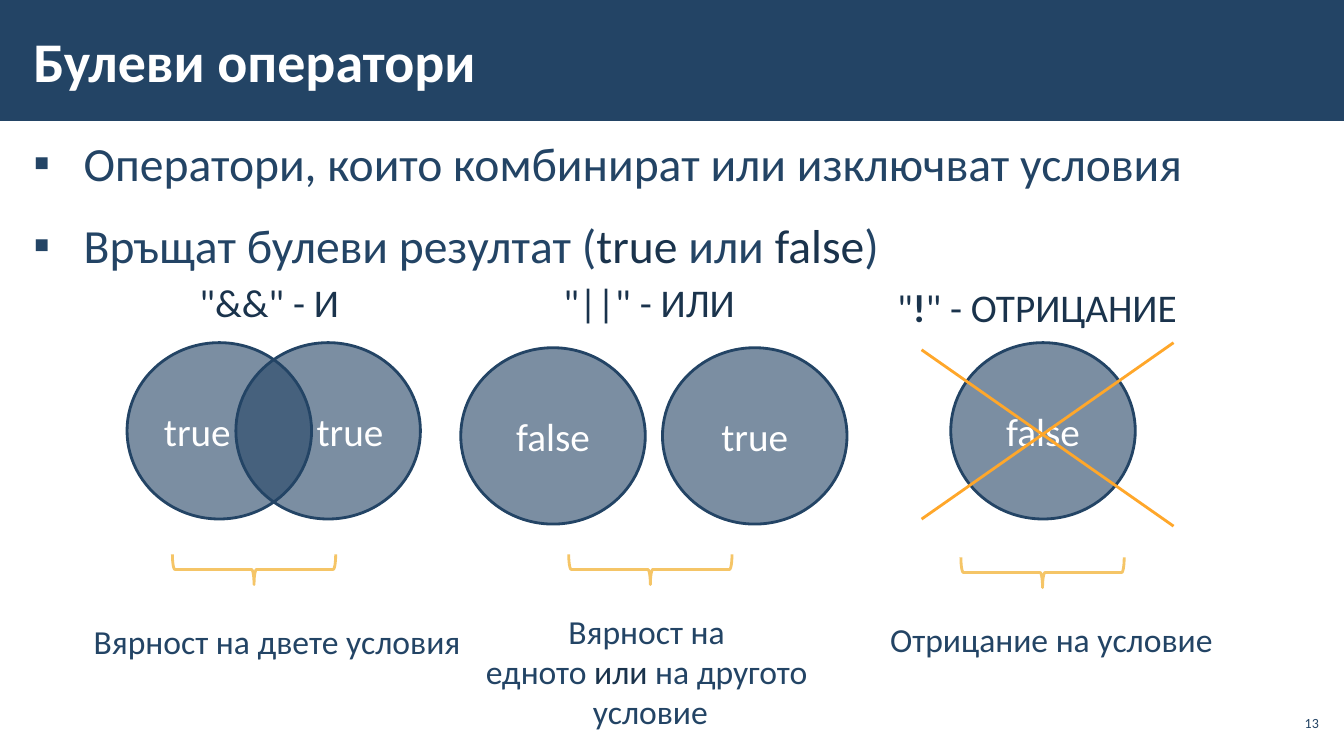
from pptx import Presentation
from pptx.dml.color import RGBColor as Rgb
from pptx.enum.shapes import MSO_CONNECTOR as Link, MSO_SHAPE as Form
from pptx.enum.text import MSO_ANCHOR as Anchor, MSO_AUTO_SIZE as Auto, PP_ALIGN as Align
from pptx.oxml.ns import qn
from pptx.util import Inches, Pt
from lxml.etree import SubElement as Sub

HUE = {"navy": "234465", "ink": "1A334C", "white": "FFFFFF",
       "sand": "F5C567", "amber": "FFA72A"}
FONT = "Calibri"

# Grid of 100 columns by 100 rows
WIDE, HIGH = Inches(13.33), Inches(7.5)
ORB_W, ORB_H = 13.73, 23.33
ORB_Y, ORB_LOW = 45.33, 46
BRACE_W, BRACE_H = 2.25, 21.6


def col(n):
    return int(WIDE * n / 100)


def row(n):
    return int(HIGH * n / 100)


def area(x, y, w, h):
    return col(x), row(y), col(w), row(h)


def tint(name):
    return Rgb.from_string(HUE[name])


def write(frame, paras, size=28, hue="navy", bold=False, align=Align.LEFT,
          anchor=Anchor.TOP, wrap=True, inset=(0.1, 0.05), bullet=False):
    """Each paragraph is a string or a list of strings and (text, changes)."""
    frame.word_wrap = wrap
    frame.auto_size = Auto.NONE if wrap else Auto.SHAPE_TO_FIT_TEXT
    frame.vertical_anchor = anchor
    frame.margin_left = frame.margin_right = Inches(inset[0])
    frame.margin_top = frame.margin_bottom = Inches(inset[1])
    for i, runs in enumerate(paras):
        para = frame.add_paragraph() if i else frame.paragraphs[0]
        para.alignment = align
        if bullet:
            mark(para)
        for part in [runs] if isinstance(runs, str) else runs:
            text, diff = (part, {}) if isinstance(part, str) else part
            run = para.add_run()
            run.text = text
            font = run.font
            font.name, font.size = FONT, Pt(size)
            font.bold = diff.get("bold", bold)
            font.color.rgb = tint(diff.get("hue", hue))


def mark(para):
    para.line_spacing = 1.15
    para.space_before = para.space_after = Pt(6)
    props = para._p.get_or_add_pPr()
    props.set("marL", str(Inches(0.5)))
    props.set("indent", str(-Inches(0.5)))
    Sub(props, qn("a:buFont"), typeface="Arial")
    Sub(props, qn("a:buChar"), char="▪")


def label(slide, place, paras, **look):
    write(slide.shapes.add_textbox(*area(*place)).text_frame, paras, **look)


def shape(slide, form, place, fill=None, line=None, alpha=None):
    item = slide.shapes.add_shape(form, *area(*place))
    item.shadow.inherit = False
    if fill:
        item.fill.solid()
        item.fill.fore_color.rgb = tint(fill)
    else:
        item.fill.background()
    if alpha:
        tone = item._element.spPr.find(qn("a:solidFill"))[0]
        Sub(tone, qn("a:alpha"), val=str(alpha * 1000))
    if line:
        item.line.color.rgb = tint(line)
        item.line.width = Pt(2)
    else:
        item.line.fill.background()
    return item


def orb(slide, x, y, text, align=Align.CENTER):
    item = shape(slide, Form.OVAL, (x, y, ORB_W, ORB_H), "navy", "navy", 60)
    write(item.text_frame, [text], hue="white", align=align, anchor=Anchor.MIDDLE)


def brace(slide, mid, y):
    # The frame turns about its centre, in inches-true proportions
    place = mid - BRACE_W / 2, y - BRACE_H / 2, BRACE_W, BRACE_H
    shape(slide, Form.RIGHT_BRACE, place, line="sand").rotation = 90


def stroke(slide, x1, y1, x2, y2):
    item = slide.shapes.add_connector(Link.STRAIGHT, col(x1), row(y1), col(x2), row(y2))
    item.line.color.rgb = tint("amber")
    item.line.width = Pt(2)
    Sub(item._element.spPr, qn("a:effectLst"))


def note(slide, mid, y, w, h, paras, **look):
    label(slide, (mid - w / 2, y, w, h), paras, wrap=False, **look)


def main():
    deck = Presentation()
    deck.slide_width, deck.slide_height = WIDE, HIGH
    slide = deck.slides.add_slide(deck.slide_layouts[6])
    dark = {"hue": "ink"}

    # Header, bullets and page number
    shape(slide, Form.RECTANGLE, (0, 0, 100, 16), "navy")
    label(slide, (1.58, 16, 96.85, 81.2), [
        "Оператори, които комбинират или изключват условия",
        ["Връщат булеви резултат (", ("true", dark), " или ", ("false", dark), ")"],
    ], size=34, inset=(0.12, 0.04), bullet=True)
    label(slide, (1.58, 1.47, 77.94, 12.93), ["Булеви оператори"], size=40,
          hue="white", bold=True, anchor=Anchor.MIDDLE, inset=(0.12, 0.04))
    label(slide, (94.9, 93.33, 3.53, 4.53), ["13"], size=10, align=Align.RIGHT,
          anchor=Anchor.MIDDLE, inset=(0.04, 0.04))

    # Circles of the three operators
    for x, y, text, align in (
            (9.45, ORB_Y, "true", Align.LEFT), (17.55, ORB_Y, "true", Align.RIGHT),
            (34.28, ORB_LOW, "false", Align.CENTER),
            (49.29, ORB_LOW, "true", Align.CENTER),
            (70.74, ORB_Y, "false", Align.CENTER)):
        orb(slide, x, y, text, align)

    # Operator names: middle, top, width
    for mid, y, w, runs in (
            (20.14, 36.13, 12.08, '"&&" - И'),
            (48.39, 36.13, 14.4, '"||" - ИЛИ'),
            (77.64, 36.8, 23.26, ['"', ("!", {"bold": True}), '" - ОТРИЦАНИЕ'])):
        note(slide, mid, y, w, 7.6, [runs], hue="ink")

    # Braces and the meanings below them
    for mid, y in ((18.9, 75.33), (48.39, 75.33), (77.57, 75.73)):
        brace(slide, mid, y)
    note(slide, 20.74, 81.47, 29.03, 6.67, ["Вярност на двете условия"], size=24)
    note(slide, 48.39, 80.13, 26.26, 17.47, [
        "Вярност на ", ["едното ", ("или", dark), " на другото "], "условие",
    ], size=24, align=Align.CENTER)
    note(slide, 78.39, 81.2, 25.81, 6.67, ["Отрицание на условие"], size=24)

    # Cross over the negated value
    stroke(slide, 87.32, 45.33, 68.57, 68.67)
    stroke(slide, 87.32, 69.6, 68.57, 46.27)

    deck.save("out.pptx")


main()
